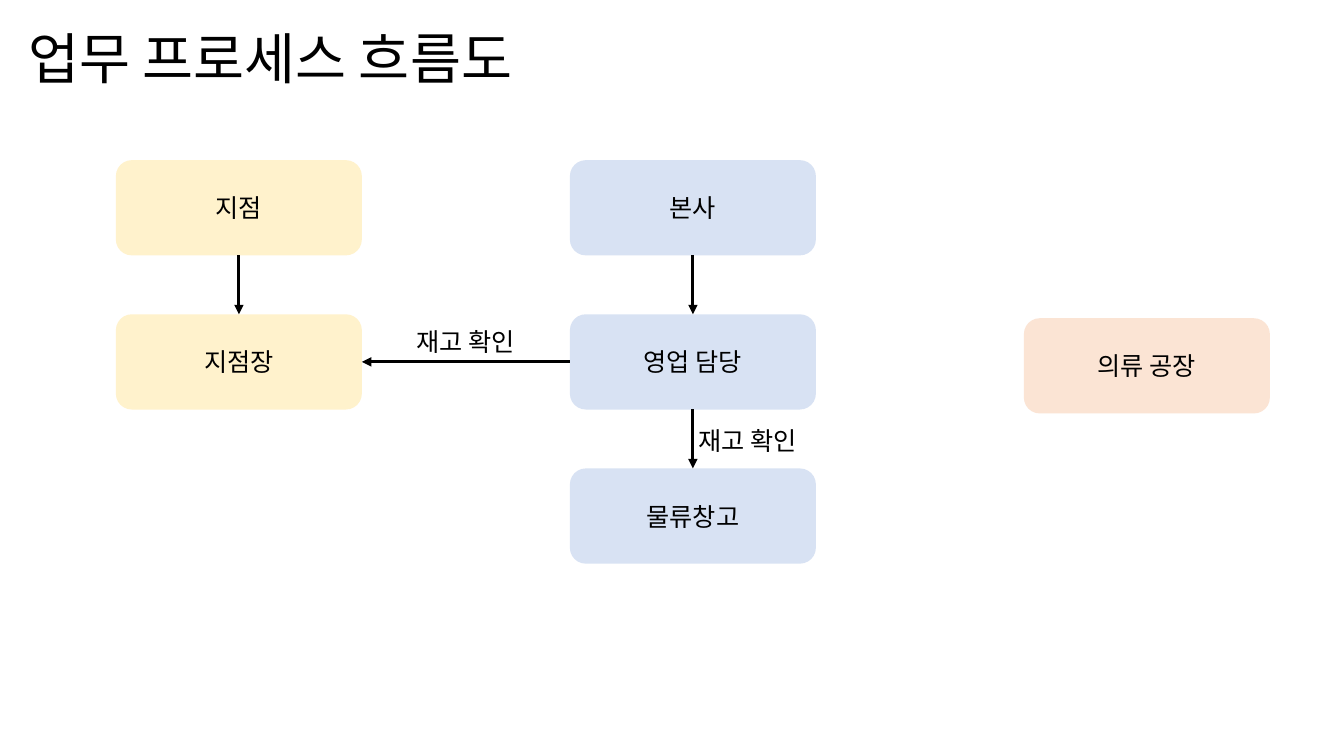
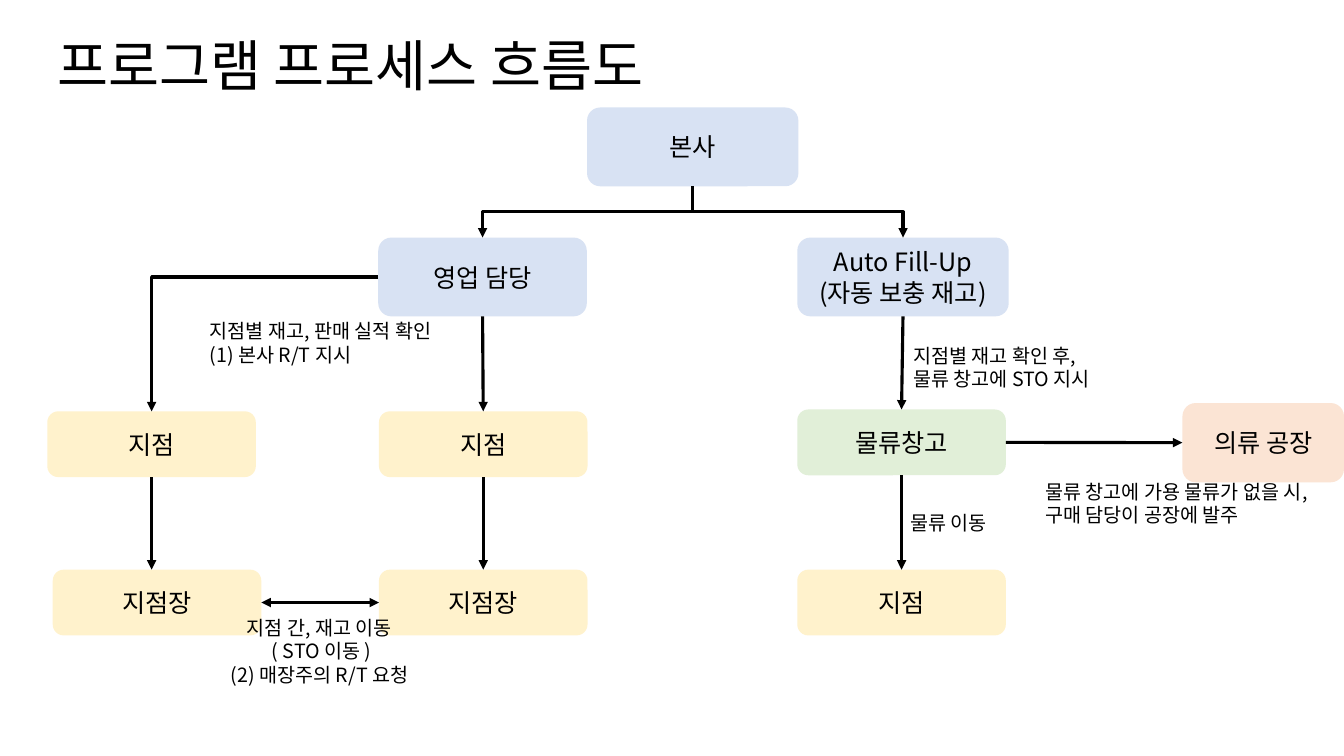
from lxml import etree
from pptx import Presentation
from pptx.dml.color import RGBColor
from pptx.enum.shapes import MSO_CONNECTOR, MSO_SHAPE
from pptx.enum.text import MSO_ANCHOR, PP_ALIGN
from pptx.oxml.ns import qn
from pptx.util import Pt

STRAIGHT, ELBOW = MSO_CONNECTOR.STRAIGHT, MSO_CONNECTOR.ELBOW
ROUNDED = MSO_SHAPE.ROUNDED_RECTANGLE
LEFT, CENTER = PP_ALIGN.LEFT, PP_ALIGN.CENTER
TOP_ANCHOR, MIDDLE = MSO_ANCHOR.TOP, MSO_ANCHOR.MIDDLE
TOP, WEST, BOTTOM, EAST = range(4)

FONT = "Noto Sans CJK KR"
BLACK = RGBColor(0x00, 0x00, 0x00)
YELLOW = RGBColor(0xFF, 0xF2, 0xCC)
BLUE = RGBColor(0xD8, 0xE2, 0xF3)
ORANGE = RGBColor(0xFB, 0xE4, 0xD4)
GREEN = RGBColor(0xE1, 0xEF, 0xD8)
TITLE_SIZE, BOX_SIZE, NOTE_SIZE = 39.6, 18, 14

WIDE = (175.7, 68)
HEAD = (151, 56.3)
SMALL = (149, 47)
FACTORY = (115.4, 56.6)

WORK_COLS = [82.8 + 324.3 * i for i in range(3)]
WORK_ROWS = [114.4 + 110.1 * i for i in range(3)]
COL_A, COL_B, COL_C = 33.8, 270.7, 569.5
HEAD_ROW, SHOP_ROW, CHIEF_ROW = 169.7, 293.8, 406.9

# boxes: key -> (lines, x, y, size, fill)
# arrows: (from key, side, to key, side, route)
# notes: (lines, x, y, width, height, text size, alignment)
SLIDES = [
    {
        "title": ("업무 프로세스 흐름도", 13, 15.8, 422, 56.2),
        "boxes": {
            "branch": (["지점"], WORK_COLS[0], WORK_ROWS[0], WIDE, YELLOW),
            "hq": (["본사"], WORK_COLS[1], WORK_ROWS[0], WIDE, BLUE),
            "factory": (["의류 공장"], WORK_COLS[2], 227.3, WIDE, ORANGE),
            "sales": (["영업 담당"], WORK_COLS[1], WORK_ROWS[1], WIDE, BLUE),
            "depot": (["물류창고"], WORK_COLS[1], WORK_ROWS[2], WIDE, BLUE),
            "chief": (["지점장"], WORK_COLS[0], WORK_ROWS[1], WIDE, YELLOW),
        },
        "arrows": [
            ("branch", BOTTOM, "chief", TOP, "straight"),
            ("hq", BOTTOM, "sales", TOP, "straight"),
            ("sales", BOTTOM, "depot", TOP, "straight"),
            ("sales", WEST, "chief", EAST, "straight"),
        ],
        "notes": [
            (["재고 확인"], 290.2, 229.7, 93.6, 29, BOX_SIZE, LEFT),
            (["재고 확인"], 491.8, 300.2, 93.6, 29, BOX_SIZE, LEFT),
        ],
    },
    {
        "title": ("프로그램 프로세스 흐름도", 33.8, 20.9, 497.5, 56.2),
        "boxes": {
            "shop_b": (["지점"], COL_B, SHOP_ROW, SMALL, YELLOW),
            "hq": (["본사"], 419.3, 76.8, HEAD, BLUE),
            "factory": (["의류 공장"], 844.6, 287.9, FACTORY, ORANGE),
            "sales": (["영업 담당"], 270.2, HEAD_ROW, (149, 56.3), BLUE),
            "auto": (["Auto Fill-Up", "(자동 보충 재고)"], COL_C, HEAD_ROW, HEAD, BLUE),
            "shop_a": (["지점"], COL_A, SHOP_ROW, SMALL, YELLOW),
            "chief_a": (["지점장"], 37.7, CHIEF_ROW, SMALL, YELLOW),
            "chief_b": (["지점장"], COL_B, CHIEF_ROW, SMALL, YELLOW),
            "shop_c": (["지점"], COL_C, CHIEF_ROW, SMALL, YELLOW),
            "depot": (["물류창고"], COL_C, 292.5, SMALL, GREEN),
        },
        "arrows": [
            ("hq", BOTTOM, "sales", TOP, "fork"),
            ("hq", BOTTOM, "auto", TOP, "fork"),
            ("sales", BOTTOM, "shop_b", TOP, "straight"),
            ("sales", WEST, "shop_a", TOP, "corner"),
            ("chief_a", EAST, "chief_b", WEST, "both"),
            ("shop_b", BOTTOM, "chief_b", TOP, "straight"),
            ("shop_a", BOTTOM, "chief_a", TOP, "plumb"),
            ("auto", BOTTOM, "depot", TOP, "straight"),
            ("depot", BOTTOM, "shop_c", TOP, "straight"),
            ("depot", EAST, "factory", WEST, "straight"),
        ],
        "notes": [
            (["지점별 재고, 판매 실적 확인", "(1) 본사 R/T 지시"],
             142.6, 224.6, 193, 41, NOTE_SIZE, LEFT),
            (["지점 간, 재고 이동", " ( STO 이동 )", "(2) 매장주의 R/T 요청"],
             141.1, 436.3, 174.2, 58.3, NOTE_SIZE, CENTER),
            (["지점별 재고 확인 후,", "물류 창고에 STO 지시"],
             645.1, 241.9, 154, 41, NOTE_SIZE, LEFT),
            (["물류 이동"], 643, 361.4, 76.3, 24.5, NOTE_SIZE, LEFT),
            (["물류 창고에 가용 물류가 없을 시,", "구매 담당이 공장에 발주"],
             739.4, 339.1, 226, 41, NOTE_SIZE, LEFT),
        ],
    },
]


def write(shape, lines, size, align, anchor, spacing=None):
    tf = shape.text_frame
    tf.word_wrap = True
    tf.vertical_anchor = anchor
    for i, line in enumerate(lines):
        p = tf.add_paragraph() if i else tf.paragraphs[0]
        p.alignment = align
        p.line_spacing = spacing
        r = p.add_run()
        r.text = line
        r.font.name = FONT
        r.font.size = Pt(size)
        r.font.color.rgb = BLACK
        east_asian = etree.SubElement(r.font._element, qn("a:ea"))
        east_asian.set("typeface", FONT)


def add_text(s, lines, x, y, w, h, size, align, anchor=TOP_ANCHOR, spacing=None):
    box = s.shapes.add_textbox(Pt(x), Pt(y), Pt(w), Pt(h))
    write(box, lines, size, align, anchor, spacing)


def add_box(s, lines, x, y, size, fill):
    sp = s.shapes.add_shape(ROUNDED, Pt(x), Pt(y), *map(Pt, size))
    sp.shadow.inherit = False
    sp.fill.solid()
    sp.fill.fore_color.rgb = fill
    sp.line.fill.background()
    write(sp, lines, BOX_SIZE, CENTER, MIDDLE)
    return sp


def turn_vertical(line):
    """Rotate an elbow so that it leaves and arrives vertically."""
    x1, y1, x2, y2 = line.begin_x, line.begin_y, line.end_x, line.end_y
    w, h = y2 - y1, abs(x2 - x1)
    line.left, line.top = (x1 + x2 - w) // 2, (y1 + y2 - h) // 2
    line.width, line.height = w, h
    xfrm = line._element.spPr.find(qn("a:xfrm"))
    xfrm.attrib.pop("flipH", None)
    if x2 > x1:
        xfrm.set("flipH", "1")
    xfrm.set("rot", str((270 if x2 > x1 else 90) * 60000))


def add_arrow(s, start, side, end, end_side, route):
    kind = ELBOW if route in ("fork", "corner") else STRAIGHT
    line = s.shapes.add_connector(kind, 0, 0, 0, 0)
    line.begin_connect(start, side)
    if route == "plumb":
        line.end_x, line.end_y = line.begin_x, end.top
    else:
        line.end_connect(end, end_side)
    spPr = line._element.spPr
    if route == "fork":
        turn_vertical(line)
    elif route == "corner":
        spPr.find(qn("a:prstGeom")).set("prst", "bentConnector2")
    line.line.color.rgb = BLACK
    line.line.width = Pt(2.25)
    ln = spPr.find(qn("a:ln"))
    for tag in ("a:headEnd", "a:tailEnd") if route == "both" else ("a:tailEnd",):
        etree.SubElement(ln, qn(tag)).set("type", "triangle")
    etree.SubElement(spPr, qn("a:effectLst"))


def add_flowchart(prs, title, boxes, arrows, notes):
    s = prs.slides.add_slide(prs.slide_layouts[6])
    text, *place = title
    add_text(s, [text], *place, TITLE_SIZE, LEFT, MIDDLE, 0.9)
    shapes = {key: add_box(s, *box) for key, box in boxes.items()}
    for start, side, end, end_side, route in arrows:
        add_arrow(s, shapes[start], side, shapes[end], end_side, route)
    for note in notes:
        add_text(s, *note)


def main():
    prs = Presentation()
    prs.slide_width, prs.slide_height = Pt(960), Pt(540)
    for slide in SLIDES:
        add_flowchart(prs, **slide)
    prs.save("out.pptx")


if __name__ == "__main__":
    main()
